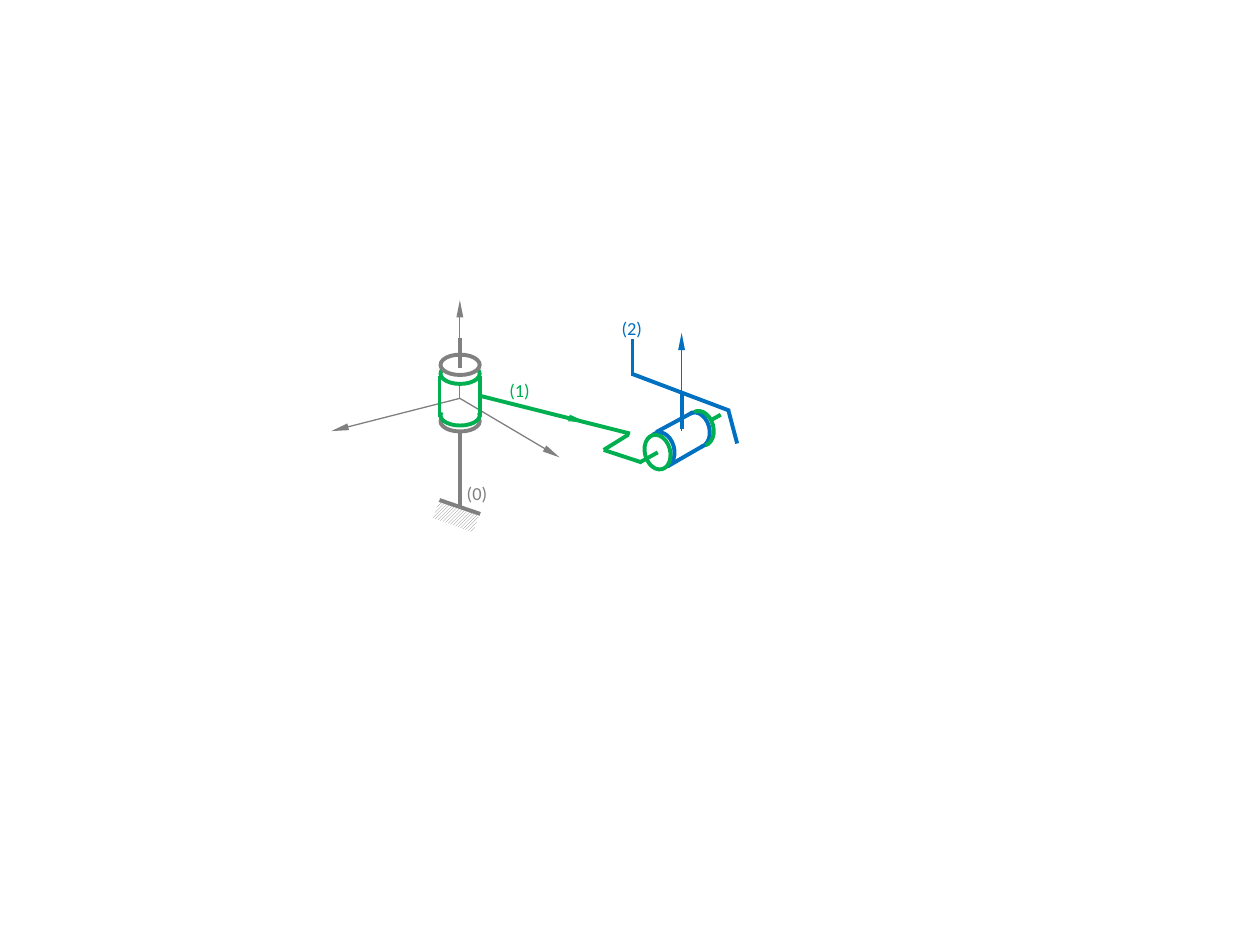
from lxml import etree
from pptx import Presentation
from pptx.dml.color import RGBColor
from pptx.enum.dml import MSO_PATTERN
from pptx.enum.shapes import MSO_CONNECTOR, MSO_SHAPE
from pptx.enum.text import PP_ALIGN
from pptx.oxml.ns import qn
from pptx.util import Cm, Pt

STRAIGHT = MSO_CONNECTOR.STRAIGHT
ARC, ELLIPSE, RECTANGLE = MSO_SHAPE.ARC, MSO_SHAPE.OVAL, MSO_SHAPE.RECTANGLE
HATCH = MSO_PATTERN.LIGHT_UPWARD_DIAGONAL
CENTER = PP_ALIGN.CENTER

COLORS = {"frame": "808080", "arm": "00B050", "tool": "0070C0", "paper": "FFFFFF"}
COLORS = {name: RGBColor.from_string(value) for name, value in COLORS.items()}
THICK, THIN = Pt(2.25), Pt(0.75)
LOWER_HALF = (157.689, 59.601)
FAR_HALF = (103.935, 215.649)


def draw_line(shapes, color, start, end, arrow=False):
    """Draw a thick link, or a thin axis with a long narrow arrowhead."""
    line = shapes.add_connector(STRAIGHT, *map(Cm, start + end))
    line.line.color.rgb = COLORS[color]
    line.line.width = THIN if arrow else THICK
    properties = line._element.spPr
    if arrow:
        etree.SubElement(properties.find(qn("a:ln")), qn("a:tailEnd"),
                         type="triangle", w="sm", len="lg")
    etree.SubElement(properties, qn("a:effectLst"))


def draw_rim(shapes, color, left, top, size, rotation, arc=None):
    """Draw one end of a cylinder: a filled ellipse, or an arc of it."""
    rim = shapes.add_shape(ARC if arc else ELLIPSE, Cm(left), Cm(top), *map(Cm, size))
    rim.shadow.inherit = False
    rim.rotation = rotation
    rim.line.color.rgb = COLORS[color]
    rim.line.width = THICK
    if arc:
        rim.adjustments[0], rim.adjustments[1] = arc
        rim.fill.background()
    else:
        rim.fill.solid()
        rim.fill.fore_color.rgb = COLORS["paper"]


deck = Presentation()
deck.slide_width, deck.slide_height = Cm(25.4), Cm(19.05)
page = deck.slides.add_slide(deck.slide_layouts[6])
shapes = page.shapes

# Fixed frame (0) and its vertical pivot
pivot = {"left": 9.07, "size": (0.41, 0.79), "rotation": 90}
draw_rim(shapes, "frame", top=8.1, arc=LOWER_HALF, **pivot)

axes = shapes.add_group_shape().shapes
for tip in [(6.68, 8.69), (9.27, 6.05), (11.28, 9.22)]:
    draw_line(axes, "frame", (9.27, 8.03), tip, arrow=True)

draw_line(shapes, "frame", (9.27, 8.71), (9.27, 10.24))
draw_rim(shapes, "arm", top=7.14, **pivot)
draw_rim(shapes, "arm", top=7.98, arc=LOWER_HALF, **pivot)
draw_rim(shapes, "frame", top=6.96, **pivot)

ground = shapes.add_shape(RECTANGLE, Cm(8.76), Cm(10.24), Cm(0.86), Cm(0.36))
ground.shadow.inherit = False
ground.rotation = 19.5
ground.line.fill.background()
ground.fill.patterned()
ground.fill.pattern = HATCH
ground.fill.fore_color.rgb = COLORS["frame"]
ground.fill.back_color.rgb = COLORS["paper"]

draw_line(shapes, "frame", (8.86, 10.08), (9.68, 10.36))
draw_line(shapes, "frame", (9.27, 6.81), (9.27, 7.42))

# Arm (1) and the upper links of the tool (2)
for x in (8.86, 9.68):
    draw_line(shapes, "arm", (x, 7.58), (x, 8.4))
draw_line(shapes, "arm", (9.68, 7.98), (12.7, 8.74))
draw_line(shapes, "arm", (9.68, 7.98), (11.81, 8.51), arrow=True)
draw_line(shapes, "arm", (12.17, 9.07), (12.93, 9.32))
draw_line(shapes, "tool", (13.74, 8.64), (13.74, 7.9))
draw_line(shapes, "tool", (14.71, 8.28), (12.75, 7.54))

# Slanted pivot between arm and tool
joint = shapes.add_group_shape().shapes
tilt = {"size": (0.71, 0.51), "rotation": 75}
draw_line(joint, "tool", (13.97, 8.31), (13.23, 8.71))
draw_rim(joint, "tool", 12.98, 8.81, **tilt)
draw_line(joint, "tool", (14.17, 8.99), (13.46, 9.4))
draw_rim(joint, "tool", 13.69, 8.41, arc=FAR_HALF, **tilt)
draw_rim(joint, "arm", 12.9, 8.86, **tilt)
draw_rim(joint, "arm", 13.77, 8.38, arc=FAR_HALF, **tilt)
draw_line(joint, "arm", (13.26, 9.12), (12.9, 9.32))
draw_line(joint, "arm", (14.53, 8.36), (14.35, 8.46))
draw_line(joint, "tool", (14.86, 8.94), (14.68, 8.26))

draw_line(shapes, "tool", (12.75, 7.57), (12.75, 6.83))
draw_line(shapes, "arm", (12.67, 8.76), (12.17, 9.07))
draw_line(shapes, "tool", (13.74, 8.69), (13.74, 6.71), arrow=True)

# Body numbers
for text, color, left, top in [("(0)", "frame", 9.12, 9.6),
                               ("(2)", "tool", 12.24, 6.27),
                               ("(1)", "arm", 9.98, 7.52)]:
    box = shapes.add_textbox(Cm(left), Cm(top), Cm(0.99), Cm(0.74))
    box.text_frame.word_wrap = False
    box.text_frame.text = text
    paragraph = box.text_frame.paragraphs[0]
    paragraph.alignment = CENTER
    font = paragraph.runs[0].font
    font.name, font.size = "Calibri", Pt(10.5)
    font.color.rgb = COLORS[color]

deck.save("out.pptx")
